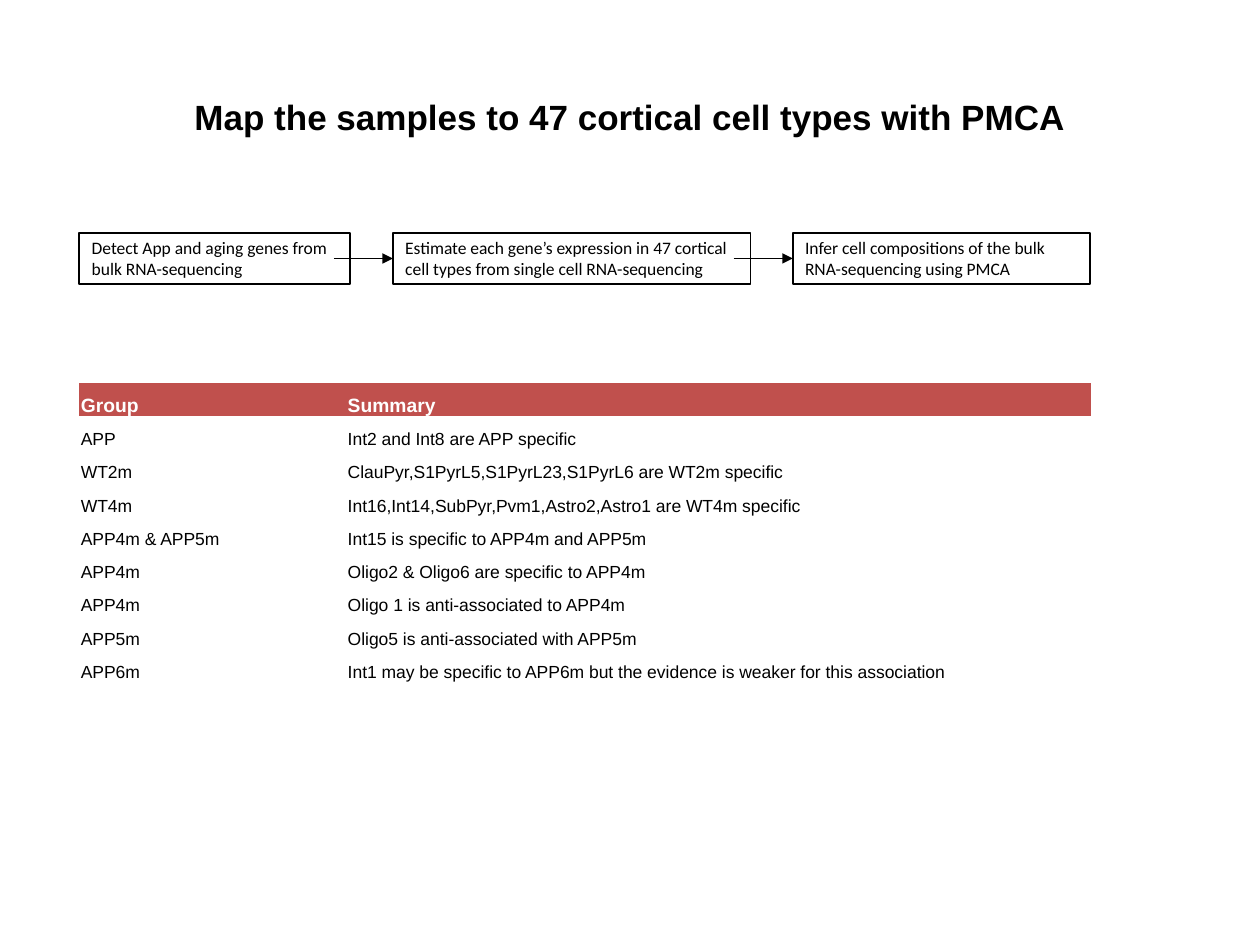
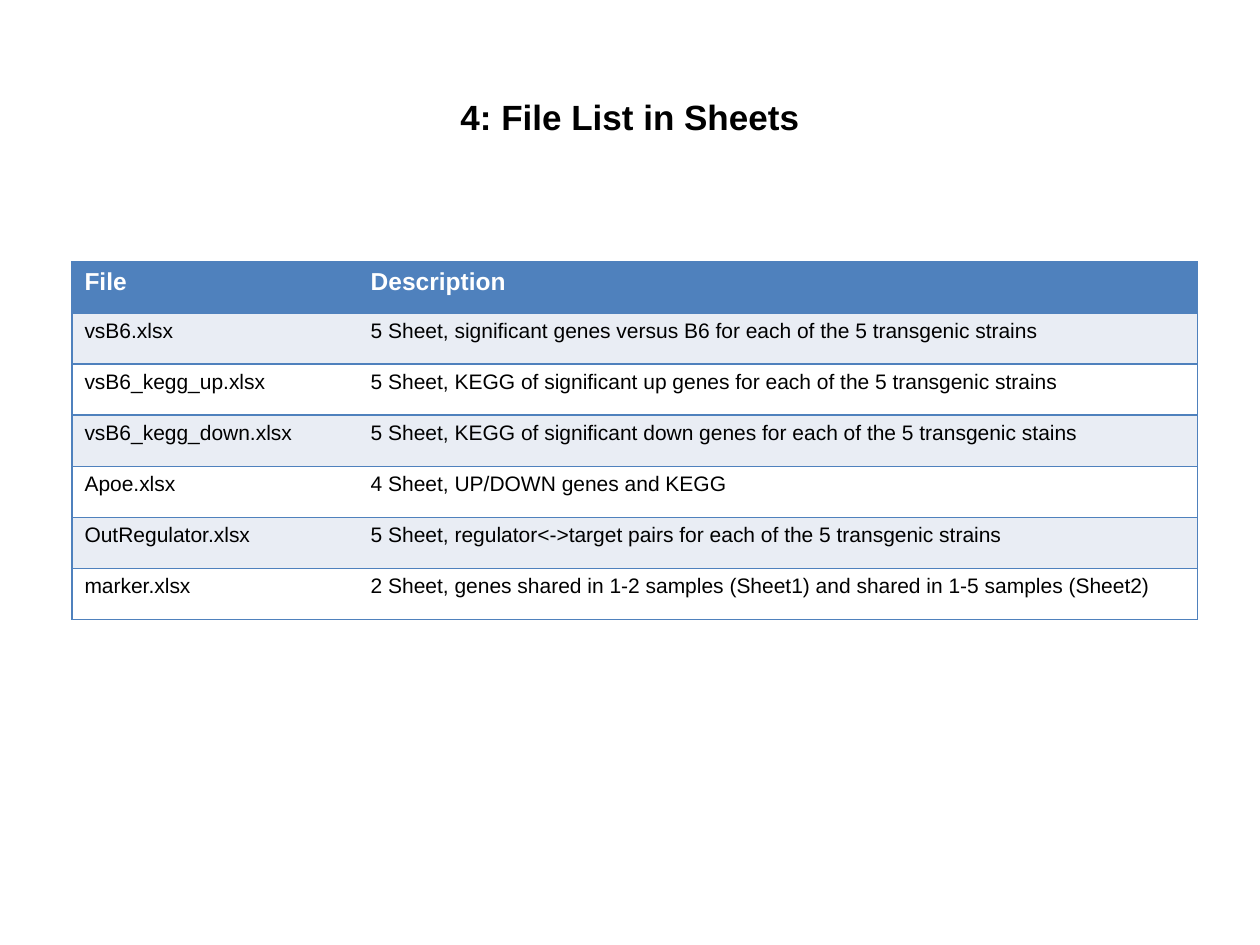
import pptx
import pptx.dml.color
import pptx.enum.shapes
import pptx.enum.text
import pptx.oxml
import pptx.oxml.ns
import pptx.util

Cm = pptx.util.Cm
Pt = pptx.util.Pt
RGB = pptx.dml.color.RGBColor.from_string
MIDDLE = pptx.enum.text.MSO_ANCHOR.MIDDLE
BOTTOM = pptx.enum.text.MSO_ANCHOR.BOTTOM
LEFT = pptx.enum.text.PP_ALIGN.LEFT
CENTER = pptx.enum.text.PP_ALIGN.CENTER
NS = pptx.oxml.ns.nsdecls("a")

HUES = {
    "black": "000000",
    "white": "FFFFFF",
    "red": "C0504D",
    "blue": "4F81BD",
    "pale": "E9EDF4",
}
PLAIN = "{2D5ABB26-0587-4C30-8999-92F81FD0307C}"  # no style, no grid

TITLES = [
    "Map the samples to 47 cortical cell types with PMCA",
    "4: File List in Sheets",
]
STEPS = [
    (1.6, 5.46, "Detect App and aging genes from bulk RNA-sequencing"),
    (7.92, 7.21, "Estimate each gene’s expression in 47 cortical cell types "
                 "from single cell RNA-sequencing"),
    (15.98, 5.99, "Infer cell compositions of the bulk RNA-sequencing using PMCA"),
]
GROUPS = [
    ("Group", "Summary"),
    ("APP", "Int2 and Int8 are APP specific"),
    ("WT2m", "ClauPyr,S1PyrL5,S1PyrL23,S1PyrL6 are WT2m specific"),
    ("WT4m", "Int16,Int14,SubPyr,Pvm1,Astro2,Astro1 are WT4m specific"),
    ("APP4m & APP5m", "Int15 is specific to APP4m and APP5m"),
    ("APP4m", "Oligo2 & Oligo6 are specific to APP4m"),
    ("APP4m", "Oligo 1 is anti-associated to APP4m"),
    ("APP5m", "Oligo5 is anti-associated with APP5m"),
    ("APP6m", "Int1 may be specific to APP6m but the evidence is weaker "
              "for this association"),
]
FILES = [
    ("File", "Description"),
    ("vsB6.xlsx",
     "5 Sheet, significant genes versus B6 for each of the 5 transgenic strains"),
    ("vsB6_kegg_up.xlsx",
     "5 Sheet, KEGG of significant up genes for each of the 5 transgenic strains"),
    ("vsB6_kegg_down.xlsx",
     "5 Sheet, KEGG of significant down genes for each of the 5 transgenic stains"),
    ("Apoe.xlsx", "4 Sheet, UP/DOWN genes and KEGG"),
    ("OutRegulator.xlsx",
     "5 Sheet, regulator<->target pairs for each of the 5 transgenic strains"),
    ("marker.xlsx",
     "2 Sheet, genes shared in 1-2 samples (Sheet1) and shared in 1-5 samples (Sheet2)"),
]


def write(frame, text, size, hue="black", bold=False, face="Arial", align=LEFT):
    frame.text = text
    line = frame.paragraphs[0]
    line.alignment = align
    line.font.name = face
    line.font.size = Pt(size)
    line.font.bold = bold
    line.font.color.rgb = RGB(HUES[hue])


def add_grid(slide, rows, left, top, widths, height, sizes, fills):
    """Add a plain table; sizes are head and body points, fills head and two bands."""
    table = slide.shapes.add_table(len(rows), len(widths), Cm(left), Cm(top),
                                   Cm(sum(widths)), Cm(height * len(rows))).table
    table._tbl.tblPr.find(pptx.oxml.ns.qn("a:tableStyleId")).text = PLAIN
    for column, width in zip(table.columns, widths):
        column.width = Cm(width)
    for r, row in enumerate(rows):
        table.rows[r].height = Cm(height)
        head = r == 0
        for c, text in enumerate(row):
            cell = table.cell(r, c)
            write(cell.text_frame, text, sizes[0 if head else 1],
                  "white" if head else "black", head)
            cell.fill.solid()
            cell.fill.fore_color.rgb = RGB(HUES[fills[0 if head else 2 - r % 2]])
    return table


deck = pptx.Presentation()
deck.slide_width, deck.slide_height = Cm(25.4), Cm(19.05)
slides = []
for text in TITLES:
    slide = deck.slides.add_slide(deck.slide_layouts[5])
    title = slide.shapes.title
    title.left, title.top, title.width, title.height = (
        Cm(1.27), Cm(0.76), Cm(22.86), Cm(3.18))
    title.text_frame.vertical_anchor = MIDDLE
    write(title.text_frame, text, 20, bold=True, align=CENTER)
    slides.append(slide)
cells, files = slides

# Cell types: summary of each group
grid = add_grid(cells, GROUPS, 1.6, 7.72, [5.38, 3.1, 3.1, 8.81], 0.67,
                (11, 10), ("red", "white", "white"))
for r in range(len(GROUPS)):
    grid.cell(r, 1).merge(grid.cell(r, 3))
    for c in range(2):
        cell = grid.cell(r, c)
        cell.vertical_anchor = BOTTOM
        cell.margin_left = cell.margin_right = cell.margin_top = Cm(0.03)
        cell.margin_bottom = 0

# Cell types: three steps, then the arrows over them
for left, width, text in STEPS:
    box = cells.shapes.add_shape(pptx.enum.shapes.MSO_SHAPE.RECTANGLE,
                                 Cm(left), Cm(4.7), Cm(width), Cm(1.02))
    box.shadow.inherit = False
    box.fill.solid()
    box.fill.fore_color.rgb = RGB(HUES["white"])
    box.line.color.rgb = RGB(HUES["black"])
    box.line.width = Pt(1)
    box.text_frame.word_wrap = True
    box.text_frame.vertical_anchor = MIDDLE
    write(box.text_frame, text, 10, face="Calibri")

for left, width, text in STEPS[1:]:
    arrow = cells.shapes.add_connector(pptx.enum.shapes.MSO_CONNECTOR.STRAIGHT,
                                       Cm(left - 1.19), Cm(5.21), Cm(left), Cm(5.21))
    arrow.line.color.rgb = RGB(HUES["black"])
    arrow.line.width = Pt(1)
    arrow.line._get_or_add_ln().append(
        pptx.oxml.parse_xml(f'<a:tailEnd {NS} type="triangle"/>'))
    arrow._element.spPr.append(pptx.oxml.parse_xml(f"<a:effectLst {NS}/>"))

# File list, ruled around each row
grid = add_grid(files, FILES, 1.45, 5.28, [5.77, 16.92], 1.03,
                (14, 12), ("blue", "pale", "white"))
for r in range(len(FILES)):
    for c, sides in enumerate(("LTB", "RTB")):
        props = grid.cell(r, c)._tc.get_or_add_tcPr()
        for place, side in enumerate(sides):
            props.insert(place, pptx.oxml.parse_xml(
                f'<a:ln{side} {NS} w="{Pt(1)}"><a:solidFill>'
                f'<a:srgbClr val="{HUES["blue"]}"/></a:solidFill></a:ln{side}>'))

deck.save("out.pptx")
